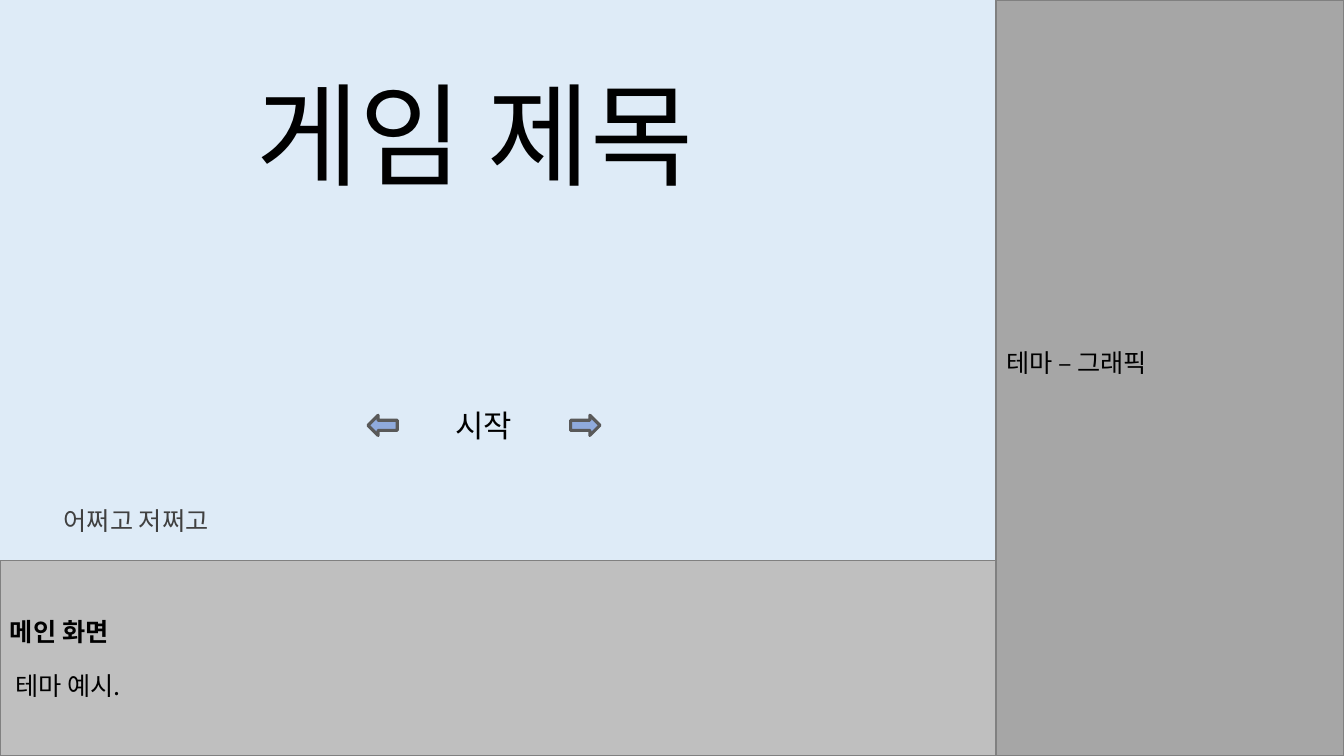
from lxml import etree
from pptx import Presentation
from pptx.dml.color import RGBColor
from pptx.enum.shapes import MSO_SHAPE
from pptx.enum.text import MSO_ANCHOR, PP_ALIGN
from pptx.oxml.ns import qn
from pptx.util import Inches, Pt

RECTANGLE = MSO_SHAPE.RECTANGLE
LEFT_ARROW, RIGHT_ARROW = MSO_SHAPE.LEFT_ARROW, MSO_SHAPE.RIGHT_ARROW
MIDDLE = MSO_ANCHOR.MIDDLE
LEFT, CENTER = PP_ALIGN.LEFT, PP_ALIGN.CENTER
FONT = "Noto Sans CJK KR"
BLACK = RGBColor(0x00, 0x00, 0x00)
CAPTION_GRAY = RGBColor(0x40, 0x40, 0x40)
SCREEN_BLUE = RGBColor(0xDE, 0xEB, 0xF7)
SIDEBAR_GRAY = RGBColor(0xA6, 0xA6, 0xA6)
NOTES_GRAY = RGBColor(0xBF, 0xBF, 0xBF)
PANEL_EDGE = RGBColor(0x80, 0x80, 0x80)
ARROW_BLUE = RGBColor(0x8F, 0xAA, 0xDC)
ARROW_EDGE = RGBColor(0x59, 0x59, 0x59)
SLIDE_W, SLIDE_H = 13.33, 7.5
SCREEN_W, SCREEN_H = 9.88, 5.56

prs = Presentation()
prs.slide_width, prs.slide_height = Inches(SLIDE_W), Inches(SLIDE_H)
slide = prs.slides.add_slide(prs.slide_layouts[5])
shapes = slide.shapes


def add_block(preset, box, fill, edge=None, edge_width=1):
    block = shapes.add_shape(preset, *map(Inches, box))
    block.shadow.inherit = False
    block.fill.solid()
    block.fill.fore_color.rgb = fill
    if edge is None:
        block.line.fill.background()
    else:
        block.line.color.rgb = edge
        block.line.width = Pt(edge_width)
    return block


def write(holder, lines, size, color=BLACK, align=CENTER, wrap=True):
    frame = holder.text_frame
    frame.text = "\n".join(lines)
    frame.word_wrap = wrap
    frame.vertical_anchor = MIDDLE
    for paragraph in frame.paragraphs:
        paragraph.alignment = align
        font = paragraph.font
        font.name, font.size, font.color.rgb = FONT, Pt(size), color
        east_asian = etree.Element(qn("a:ea"), typeface=FONT)
        font._element.find(qn("a:latin")).addnext(east_asian)
    return frame


screen = add_block(RECTANGLE, (0, 0, SCREEN_W, SCREEN_H), SCREEN_BLUE)
game_title = shapes.title
screen._element.addnext(game_title._element)
game_title.left, game_title.top = Inches(2.11), Inches(0.59)
game_title.width, game_title.height = Inches(5.2), Inches(1.45)
write(game_title, ["게임 제목"], 80)

start_label = shapes.add_textbox(*map(Inches, (4.39, 3.98, 0.82, 0.47)))
write(start_label, ["시작"], 22, wrap=False)

sidebar = add_block(RECTANGLE, (SCREEN_W, 0, SLIDE_W - SCREEN_W, SLIDE_H),
                    SIDEBAR_GRAY, PANEL_EDGE)
sidebar_text = write(sidebar, ["테마 – 그래픽"], 18, align=LEFT)
sidebar_text.margin_bottom = Inches(0.36)

notes_panel = add_block(RECTANGLE, (0, SCREEN_H, SCREEN_W, SLIDE_H - SCREEN_H),
                        NOTES_GRAY, PANEL_EDGE)
heading, example = write(notes_panel, ["메인 화면", " 테마 예시."], 18,
                         align=LEFT).paragraphs
heading.font.bold = True
example.space_before = Pt(17)

caption = shapes.add_textbox(*map(Inches, (0.33, 5.03, 2.04, 0.26)))
write(caption, ["어쩌고 저쩌고"], 18, CAPTION_GRAY)

for direction, left in ((RIGHT_ARROW, 5.66), (LEFT_ARROW, 3.65)):
    add_block(direction, (left, 4.12, 0.29, 0.2), ARROW_BLUE, ARROW_EDGE, 2.25)

prs.save("out.pptx")
